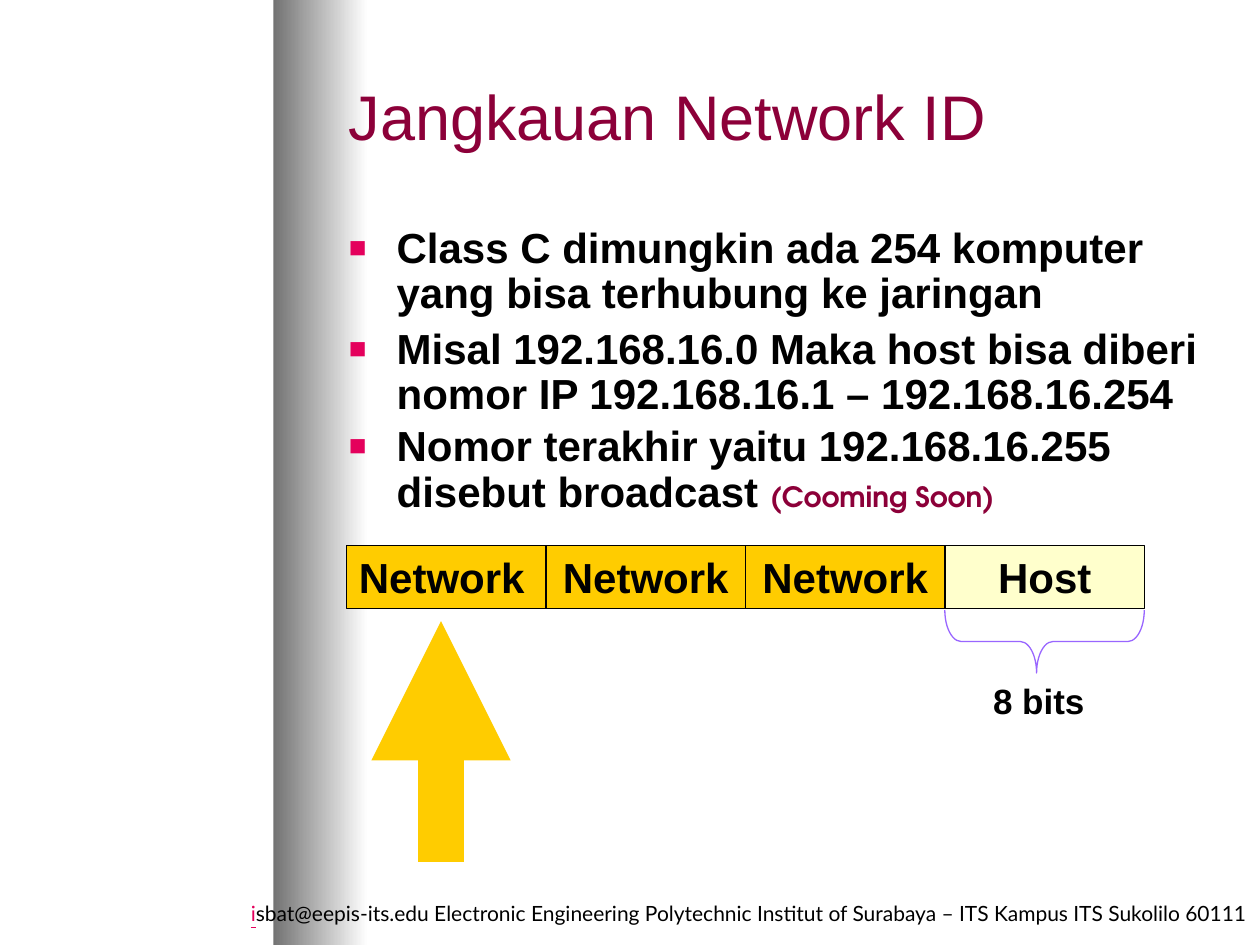
from pptx import Presentation
from pptx.dml.color import RGBColor
from pptx.enum.shapes import MSO_CONNECTOR, MSO_SHAPE
from pptx.enum.text import MSO_ANCHOR, PP_ALIGN
from pptx.oxml.ns import qn
from pptx.util import Inches, Pt
from lxml import etree

COLORS = {
    "wine": "8C0039", "pink": "E4005C", "black": "000000", "white": "FFFFFF",
    "gray": "737373", "gold": "FFCC00", "cream": "FFFFCC", "violet": "9966FF",
}


def color(name):
    return RGBColor.from_string(COLORS[name])


def add_run(paragraph, text, size, ink="black", font="Arial", bold=False):
    run = paragraph.add_run()
    run.text = text
    run.font.size = Pt(size)
    run.font.name = font
    run.font.bold = bold
    run.font.color.rgb = color(ink)
    return run


prs = Presentation()
prs.slide_width, prs.slide_height = Inches(10), Inches(7.5)
slide = prs.slides.add_slide(prs.slide_layouts[6])
shapes = slide.shapes

# Shaded band on the left
band = shapes.add_shape(MSO_SHAPE.RECTANGLE, Inches(2.17), 0, Inches(0.75), Inches(7.5))
band.shadow.inherit = False
band.line.fill.background()
band.fill.gradient()
band.fill.gradient_angle = 0
for stop, shade in zip(band.fill.gradient_stops, ("gray", "white")):
    stop.color.rgb = color(shade)

# Footer
footer = shapes.add_textbox(0, Inches(7.1), Inches(10), Inches(0.3)).text_frame
footer.word_wrap = True
address = footer.paragraphs[0]
address.alignment = PP_ALIGN.RIGHT
add_run(address, "i", 12, "pink", "Lato").font.underline = True
add_run(address, "sbat@eepis-its.edu Electronic Engineering Polytechnic Institut of "
        "Surabaya – ITS Kampus ITS Sukolilo 60111", 12, font="Lato")

# Title
title = shapes.add_textbox(Inches(2.67), Inches(0.25), Inches(7), Inches(1.33)).text_frame
title.word_wrap = True
title.vertical_anchor = MSO_ANCHOR.MIDDLE
add_run(title.paragraphs[0], "Jangkauan Network ID", 36, "wine")

# Bullet points: text and space before
points = [
    ("Class C dimungkin ada 254 komputer yang bisa terhubung ke jaringan", 0),
    ("Misal 192.168.16.0 Maka host bisa diberi nomor IP 192.168.16.1 – 192.168.16.254", 6),
    ("Nomor terakhir yaitu 192.168.16.255 disebut broadcast ", 4),
]
body = shapes.add_textbox(Inches(2.67), Inches(1.75), Inches(7), Inches(4.92)).text_frame
body.word_wrap = True
for i, (text, space) in enumerate(points):
    point = body.add_paragraph() if i else body.paragraphs[0]
    point.line_spacing = 0.9
    point.space_before = Pt(space)
    props = point._p.get_or_add_pPr()
    props.set("marL", str(Inches(0.38)))
    props.set("indent", str(-Inches(0.38)))
    bullet_color = etree.SubElement(props, qn("a:buClr"))
    etree.SubElement(bullet_color, qn("a:srgbClr"), val=COLORS["pink"])
    etree.SubElement(props, qn("a:buSzPct"), val="70000")
    etree.SubElement(props, qn("a:buFont"), typeface="Arial")
    etree.SubElement(props, qn("a:buChar"), char="■")
    add_run(point, text, 24, bold=True)
add_run(point, "(Cooming Soon)", 16, "wine", "TeX Gyre Adventor", True)

# Address octets
octets = [
    ("Network", "gold", PP_ALIGN.LEFT),
    ("Network", "gold", PP_ALIGN.CENTER),
    ("Network", "gold", PP_ALIGN.CENTER),
    ("Host", "cream", PP_ALIGN.CENTER),
]
octet_width = Inches(9.5) // 6
for i, (label, fill, alignment) in enumerate(octets):
    octet = shapes.add_shape(MSO_SHAPE.RECTANGLE, Inches(2.75) + i * octet_width,
                             Inches(4.33), octet_width, Inches(0.5))
    octet.shadow.inherit = False
    octet.fill.solid()
    octet.fill.fore_color.rgb = color(fill)
    octet.line.color.rgb = color("black")
    octet.line.width = Pt(0.75)
    octet.text_frame.word_wrap = True
    octet.text_frame.vertical_anchor = MSO_ANCHOR.TOP
    octet.text_frame.paragraphs[0].alignment = alignment
    add_run(octet.text_frame.paragraphs[0], label, 24, bold=True)

# Arrow up to the first octet
arrow = shapes.add_connector(MSO_CONNECTOR.STRAIGHT, Inches(3.5), Inches(6.84),
                             Inches(3.5), Inches(4.93))
arrow.line.color.rgb = color("gold")
arrow.line.width = Pt(26.5)
etree.SubElement(arrow.line._get_or_add_ln(), qn("a:tailEnd"), type="triangle")
etree.SubElement(arrow._element.spPr, qn("a:effectLst"))

# Brace under the host octet
brace = shapes.add_shape(MSO_SHAPE.RIGHT_BRACE, Inches(8.04), Inches(4.3),
                         Inches(0.5), octet_width)
brace.rotation = 90
brace.adjustments[0] = 0.26
brace.adjustments[1] = 0.54
brace.shadow.inherit = False
brace.fill.background()
brace.line.color.rgb = color("violet")
brace.line.width = Pt(0.75)

host_size = shapes.add_textbox(Inches(7.58), Inches(5.34), Inches(1.33), Inches(0.44)).text_frame
host_size.word_wrap = True
host_size.paragraphs[0].alignment = PP_ALIGN.CENTER
add_run(host_size.paragraphs[0], "8 bits", 20, bold=True)

prs.save("out.pptx")
